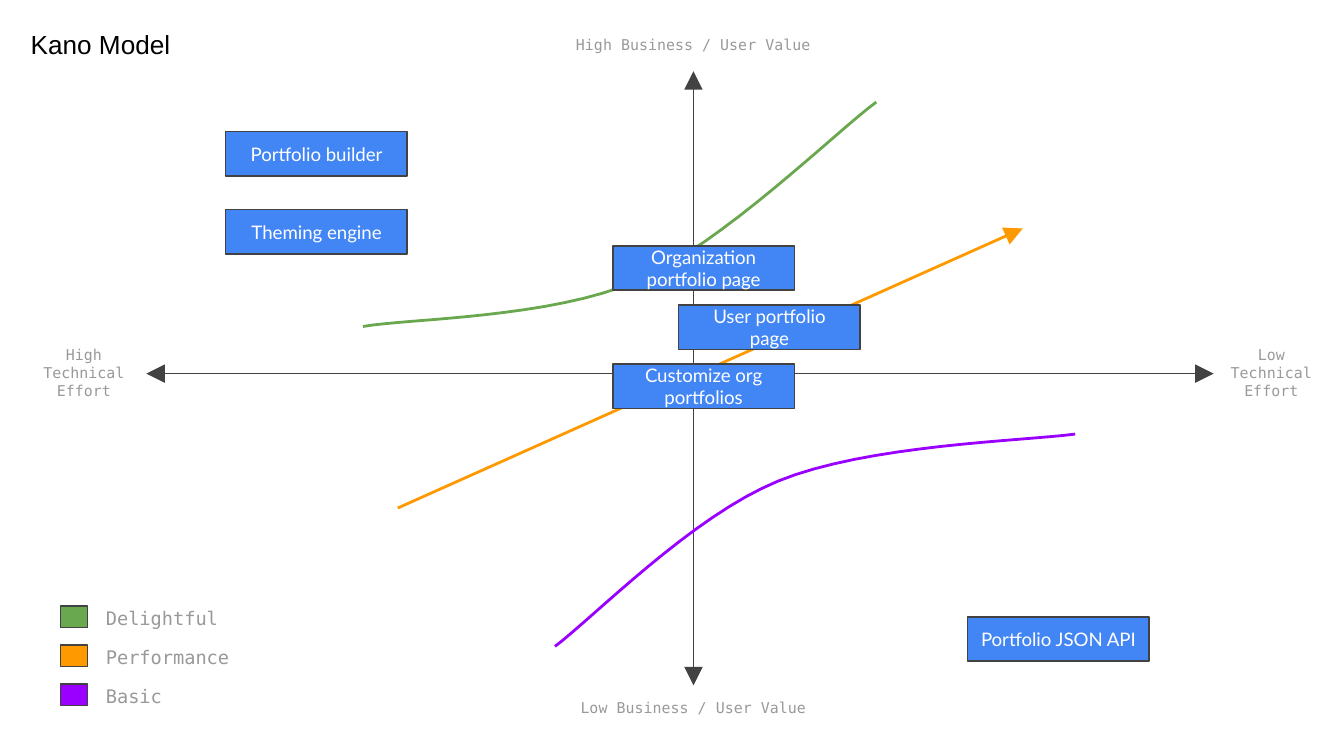
import pptx
import pptx.util
import pptx.oxml
import pptx.oxml.ns
import pptx.dml.color
import pptx.enum.shapes
import pptx.enum.text

Inches = pptx.util.Inches
Align = pptx.enum.text.PP_ALIGN
Anchor = pptx.enum.text.MSO_ANCHOR
RECT = pptx.enum.shapes.MSO_SHAPE.RECTANGLE
LINE = pptx.enum.shapes.MSO_CONNECTOR.STRAIGHT

COLORS = {
    "ink": "424242",
    "gray": "999999",
    "black": "000000",
    "white": "FFFFFF",
    "card": "4285F4",
    "green": "6AA84F",
    "orange": "FF9900",
    "purple": "9900FF",
}
MONO = "DejaVu Sans Mono"
STEPS = 16

LABELS = [
    ("High Business / User Value", 4.18, 0.2, 1.96, Anchor.TOP),
    ("Low Business / User Value", 4.18, 5.13, 1.96, Anchor.TOP),
    ("High Technical Effort", 0.11, 2.59, 1.03, Anchor.MIDDLE),
    ("Low Technical Effort", 9.03, 2.59, 0.86, Anchor.MIDDLE),
]
LEGEND = [("Delightful", "green"), ("Performance", "orange"), ("Basic", "purple")]
CARDS = [
    ("Theming engine", 1.68, 1.56),
    ("Portfolio JSON API", 7.2, 4.59),
    ("User portfolio page", 5.05, 2.27),
    ("Portfolio builder", 1.68, 0.98),
    ("Organization portfolio page", 4.56, 1.83),
    ("Customize org portfolios", 4.56, 2.71),
]
# Each curve is a start point followed by two control points and an end per bend.
DELIGHT = [(2.7, 2.43), (3.04, 2.37), (4.1, 2.37), (4.74, 2.09),
           (5.37, 1.82), (6.22, 0.98), (6.52, 0.76)]
BASIC = [(4.13, 4.81), (4.41, 4.6), (5.15, 3.84), (5.79, 3.58),
         (6.44, 3.31), (7.63, 3.28), (8, 3.23)]


def rgb(name):
    return pptx.dml.color.RGBColor.from_string(COLORS[name])


def stroke(shape, color, width):
    shape.line.color.rgb = rgb(color)
    shape.line.width = pptx.util.Pt(width)


def write(shape, text, size, font, color, align, anchor):
    frame = shape.text_frame
    frame.word_wrap = True
    frame.vertical_anchor = anchor
    frame.margin_left = frame.margin_right = Inches(0.1)
    frame.margin_top = frame.margin_bottom = Inches(0.1)
    para = frame.paragraphs[0]
    para.text = text
    para.alignment = align
    para.font.size = pptx.util.Pt(size)
    para.font.name = font
    para.font.color.rgb = rgb(color)


def add_text(slide, text, x, y, w, h, size, font=MONO, color="gray",
             align=Align.LEFT, anchor=Anchor.TOP):
    box = slide.shapes.add_textbox(Inches(x), Inches(y), Inches(w), Inches(h))
    write(box, text, size, font, color, align, anchor)


def add_box(slide, x, y, w, h, color):
    box = slide.shapes.add_shape(RECT, Inches(x), Inches(y), Inches(w), Inches(h))
    box.shadow.inherit = False
    box.fill.solid()
    box.fill.fore_color.rgb = rgb(color)
    stroke(box, "ink", 0.75)
    return box


def add_node(parent, tag, attrs=""):
    names = pptx.oxml.ns.nsdecls("a")
    parent.append(pptx.oxml.parse_xml(f"<a:{tag} {names} {attrs}/>"))


def add_line(slide, start, end, color, width, tips):
    """Draw a line with a triangle at each end named in tips."""
    ends = [Inches(v) for v in (*start, *end)]
    line = slide.shapes.add_connector(LINE, *ends)
    stroke(line, color, width)
    props = line._element.spPr
    edge = props.find(pptx.oxml.ns.qn("a:ln"))
    for tip in tips:
        add_node(edge, f"{tip}End", 'type="triangle" w="lg" len="lg"')
    add_node(props, "effectLst")


def bend(a, b, c, d, t):
    """Return the point at t on a cubic Bezier segment."""
    s = 1 - t
    return tuple(
        Inches(s**3 * p + 3 * s * s * t * q + 3 * s * t * t * r + t**3 * e)
        for p, q, r, e in zip(a, b, c, d))


def add_curve(slide, points, color):
    trail = [bend(*points[i:i + 4], n / STEPS)
             for i in range(0, len(points) - 1, 3)
             for n in range(1, STEPS + 1)]
    x, y = points[0]
    pen = slide.shapes.build_freeform(Inches(x), Inches(y))
    pen.add_line_segments(trail, close=False)
    curve = pen.convert_to_shape()
    curve.shadow.inherit = False
    curve.fill.background()
    stroke(curve, color, 1.5)


def add_legend(slide):
    for row, (text, color) in enumerate(LEGEND):
        y = 4.43 + row * 0.29
        add_box(slide, 0.45, y + 0.08, 0.2, 0.16, color)
        add_text(slide, text, 0.69, y, 1.96, 0.36, 10)


def add_card(slide, text, x, y):
    card = add_box(slide, x, y, 1.35, 0.33, "card")
    write(card, text, 10, "Lato", "white", Align.CENTER, Anchor.MIDDLE)


def main():
    deck = pptx.Presentation()
    deck.slide_width = Inches(10)
    deck.slide_height = deck.slide_width * 9 // 16
    slide = deck.slides.add_slide(deck.slide_layouts[6])

    add_line(slide, (5.16, 0.53), (5.16, 5.1), "ink", 0.75, ("head", "tail"))
    add_line(slide, (9.03, 2.78), (1.09, 2.78), "ink", 0.75, ("head", "tail"))
    add_curve(slide, DELIGHT, "green")
    add_curve(slide, BASIC, "purple")
    add_line(slide, (2.96, 3.78), (7.61, 1.7), "orange", 1.5, ("tail",))
    add_legend(slide)
    for text, x, y, w, anchor in LABELS:
        add_text(slide, text, x, y, w, 0.36, 8, align=Align.CENTER, anchor=anchor)
    add_text(slide, "Kano Model", 0.13, 0.11, 1.56, 0.31, 14, "Arial", "black")
    for text, x, y in CARDS:
        add_card(slide, text, x, y)

    deck.save("out.pptx")


if __name__ == "__main__":
    main()
